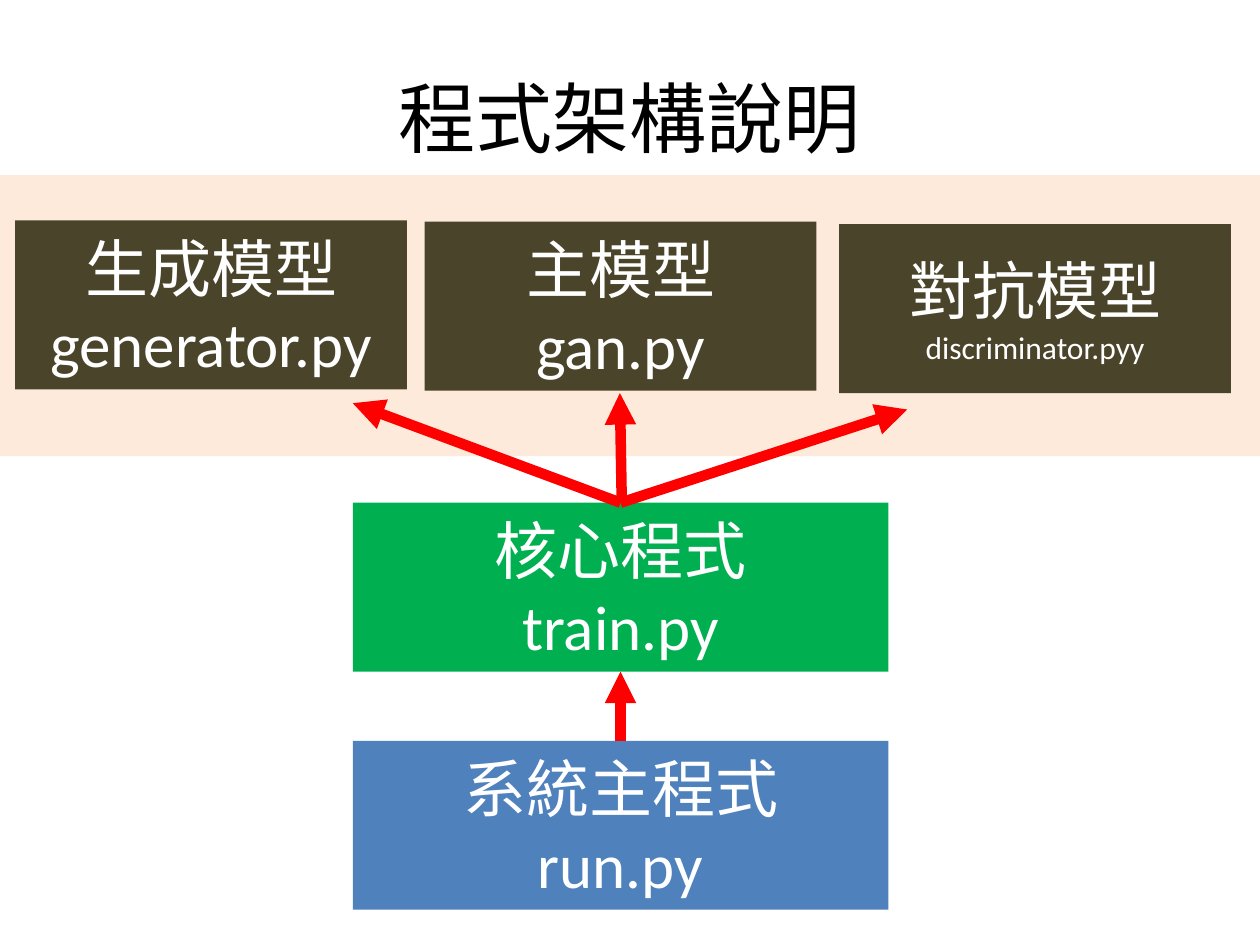
from lxml import etree
from pptx import Presentation
from pptx import util as u
from pptx.dml.color import RGBColor
from pptx.enum import shapes, text
from pptx.oxml import ns

WIDTH, HEIGHT = 10, 7.5
FONT = "Calibri"
BOX_HEIGHT = 1.34
MODEL_WIDTH = 3.11
PROGRAM_LEFT, PROGRAM_WIDTH = 2.8, 4.25
CORE_TOP, SYSTEM_TOP = 3.99, 5.88
CENTER = PROGRAM_LEFT + PROGRAM_WIDTH / 2

MODELS = [
    (0.12, 1.75, "生成模型", "generator.py", 36),
    (3.37, 1.76, "主模型", "gan.py", 36),
    (6.66, 1.78, "對抗模型", "discriminator.pyy", 18),
]
PROGRAMS = [
    (SYSTEM_TOP, "系統主程式", "run.py", "4F81BD"),
    (CORE_TOP, "核心程式", "train.py", "00B050"),
]
ARROWS = [
    ((CENTER, SYSTEM_TOP), (CENTER, CORE_TOP + BOX_HEIGHT)),
    ((CENTER, CORE_TOP), (2.8, 3.2)),
    ((CENTER + 0.01, CORE_TOP), (4.92, 3.12)),
    ((CENTER, CORE_TOP), (7.2, 3.25)),
]


def color(value):
    return RGBColor.from_string(value)


def inches(*lengths):
    return [u.Inches(length) for length in lengths]


def write(para, words, size=36, fill="FFFFFF"):
    para.alignment = text.PP_ALIGN.CENTER
    span = para.add_run()
    span.text = words
    span.font.name = FONT
    span.font.size = u.Pt(size)
    span.font.color.rgb = color(fill)


def add_title(page, words):
    title = page.shapes.title
    title.left, title.top, title.width, title.height = inches(0.5, 0.3, 9, 1.25)
    title.text_frame.vertical_anchor = text.MSO_ANCHOR.MIDDLE
    write(title.text_frame.paragraphs[0], words, size=44, fill="000000")
    return title


def add_box(page, left, top, width, height, fill):
    box = page.shapes.add_shape(
        shapes.MSO_SHAPE.RECTANGLE, *inches(left, top, width, height))
    box.shadow.inherit = False
    box.fill.solid()
    box.fill.fore_color.rgb = color(fill)
    box.line.fill.background()
    return box


def add_module(page, left, top, width, fill, name, file_name, file_size=36):
    box = add_box(page, left, top, width, BOX_HEIGHT, fill)
    frame = box.text_frame
    frame.word_wrap = True
    frame.vertical_anchor = text.MSO_ANCHOR.MIDDLE
    write(frame.paragraphs[0], name)
    write(frame.add_paragraph(), file_name, size=file_size)


def add_arrow(page, start, end):
    arrow = page.shapes.add_connector(
        shapes.MSO_CONNECTOR.STRAIGHT, *inches(*start, *end))
    arrow.line.color.rgb = color("FF0000")
    arrow.line.width = u.Pt(6)
    properties = arrow.element.spPr
    line = properties.find(ns.qn("a:ln"))
    etree.SubElement(line, ns.qn("a:tailEnd"), type="triangle")
    etree.SubElement(properties, ns.qn("a:effectLst"))


def main():
    deck = Presentation()
    deck.slide_width, deck.slide_height = inches(WIDTH, HEIGHT)
    page = deck.slides.add_slide(deck.slide_layouts[5])
    title = add_title(page, "程式架構說明")
    band = add_box(page, 0, 1.39, WIDTH, 2.23, "FDEADA")
    band.element.addnext(title.element)
    for top, name, file_name, fill in PROGRAMS:
        add_module(page, PROGRAM_LEFT, top, PROGRAM_WIDTH, fill, name, file_name)
    for start, end in ARROWS:
        add_arrow(page, start, end)
    for left, top, name, file_name, size in MODELS:
        add_module(page, left, top, MODEL_WIDTH, "4A452A", name, file_name, size)
    deck.save("out.pptx")


if __name__ == "__main__":
    main()
